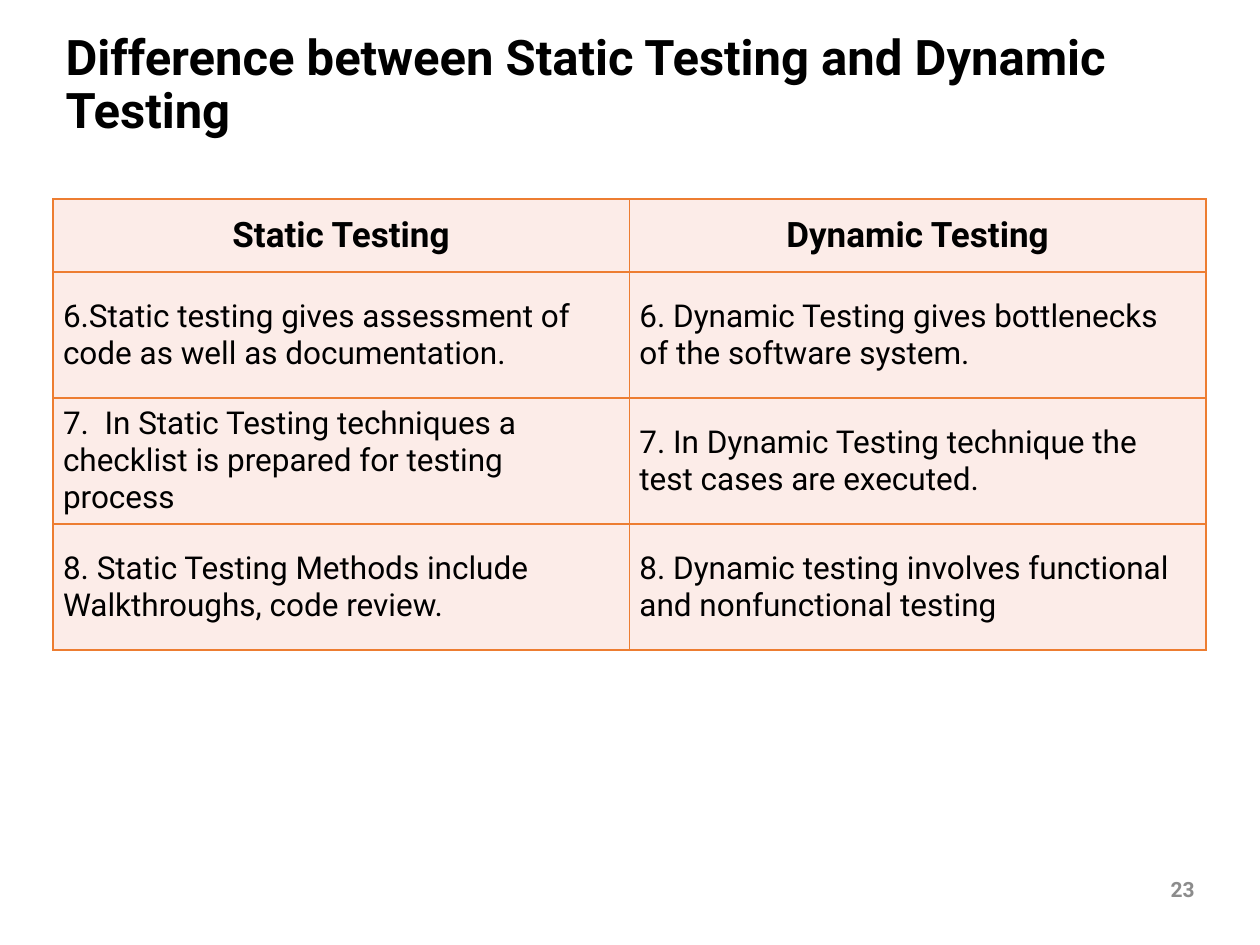
"""Build a slide comparing static testing with dynamic testing."""
from dataclasses import dataclass

from lxml.etree import SubElement
from pptx import Presentation
from pptx.dml.color import RGBColor
from pptx.enum.text import MSO_ANCHOR as Anchor, MSO_AUTO_SIZE as AutoSize, PP_ALIGN as Align
from pptx.oxml.ns import qn
from pptx.slide import Slide
from pptx.util import Inches, Pt

COLORS = {"text": "000000", "number": "8C8C8C", "fill": "FCECE8", "border": "ED7D31"}
WIDTH, HEIGHT = 10, 7.5
MARGIN, CONTENT_WIDTH = 0.42, 9.15
HEADER_HEIGHT, ROW_HEIGHT = 0.58, 1
ROWS = [
    ("Static Testing", "Dynamic Testing"),
    ("6.Static testing gives assessment of code as well as documentation.",
     "6. Dynamic Testing gives bottlenecks  of the software system."),
    ("7.  In Static Testing techniques a checklist is prepared for testing process",
     "7. In Dynamic Testing technique the test cases are executed."),
    ("8. Static Testing Methods include Walkthroughs, code review.",
     "8. Dynamic testing involves functional and nonfunctional testing"),
]


@dataclass
class SlideBuilder:
    slide: Slide
    font: str = "Roboto"

    def set_text(self, frame, text, size, bold=True, color="text", align=Align.LEFT):
        frame.text = text
        frame.word_wrap = True
        paragraph = frame.paragraphs[0]
        paragraph.alignment = align
        font = paragraph.font
        font.name, font.size, font.bold = self.font, Pt(size), bold
        font.color.rgb = RGBColor.from_string(COLORS[color])
        return paragraph

    def title(self, text, top, height):
        shape = self.slide.shapes.title
        shape.left, shape.top = Inches(MARGIN), Inches(top)
        shape.width, shape.height = Inches(CONTENT_WIDTH), Inches(height)
        frame = shape.text_frame
        frame.auto_size, frame.vertical_anchor = AutoSize.NONE, Anchor.MIDDLE
        self.set_text(frame, text, 28).line_spacing = 0.9

    def number(self, text, left, top, width, height):
        box = self.slide.shapes.add_textbox(*map(Inches, (left, top, width, height)))
        box.text_frame.vertical_anchor = Anchor.MIDDLE
        self.set_text(box.text_frame, text, 12, color="number", align=Align.RIGHT)

    def table(self, rows, top):
        height = HEADER_HEIGHT + ROW_HEIGHT * (len(rows) - 1)
        table = self.slide.shapes.add_table(
            len(rows), len(rows[0]),
            *map(Inches, (MARGIN, top, CONTENT_WIDTH, height))).table
        for index, texts in enumerate(rows):
            header = index == 0
            table.rows[index].height = Inches(HEADER_HEIGHT if header else ROW_HEIGHT)
            for column, text in enumerate(texts):
                self.cell(table.cell(index, column), text, header)

    def cell(self, cell, text, header):
        cell.margin_left = cell.margin_right = Inches(0.06 if header else 0.08)
        cell.margin_top = cell.margin_bottom = Inches(0.03 if header else 0.04)
        cell.vertical_anchor = Anchor.MIDDLE
        self.set_text(cell.text_frame, text, 20 if header else 18, header,
                      align=Align.CENTER if header else Align.LEFT)
        self.borders(cell)
        cell.fill.solid()
        cell.fill.fore_color.rgb = RGBColor.from_string(COLORS["fill"])

    def borders(self, cell):
        properties = cell._tc.get_or_add_tcPr()
        for side in ("a:lnL", "a:lnR", "a:lnT", "a:lnB"):
            line = SubElement(properties, qn(side), w=str(Pt(1)))
            fill = SubElement(line, qn("a:solidFill"))
            SubElement(fill, qn("a:srgbClr"), val=COLORS["border"])


def main():
    presentation = Presentation()
    presentation.slide_width, presentation.slide_height = Inches(WIDTH), Inches(HEIGHT)
    title_only = presentation.slide_layouts[5]
    builder = SlideBuilder(presentation.slides.add_slide(title_only))
    builder.title("Difference between Static Testing and Dynamic Testing", 0.29, 0.78)
    builder.table(ROWS, 1.58)
    builder.number("23", 8.51, 6.86, 1.07, 0.4)
    presentation.save("out.pptx")


if __name__ == "__main__":
    main()
